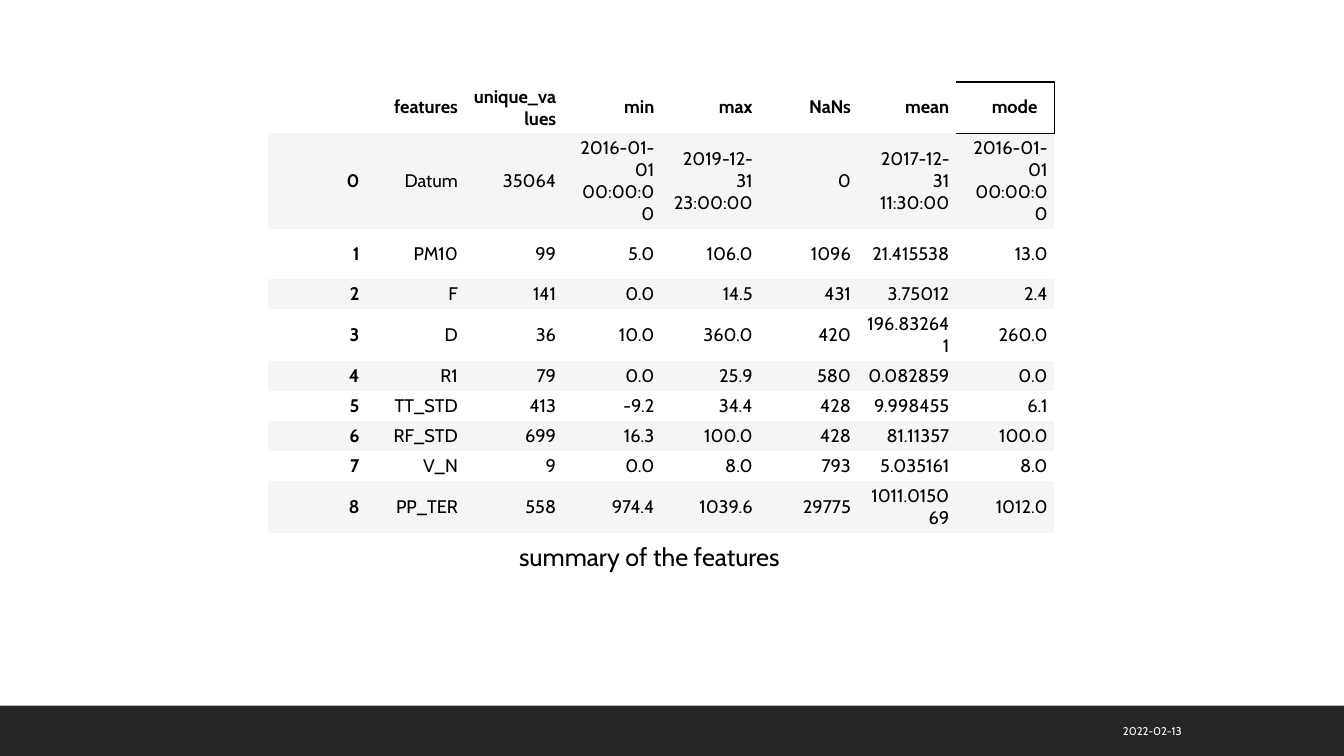
import dataclasses

import lxml.etree
import pptx
import pptx.dml.color
import pptx.enum.shapes
import pptx.enum.text
import pptx.oxml.ns
import pptx.util

Inches = pptx.util.Inches
Pt = pptx.util.Pt
PP_ALIGN = pptx.enum.text.PP_ALIGN
MIDDLE = pptx.enum.text.MSO_ANCHOR.MIDDLE
qn = pptx.oxml.ns.qn


@dataclasses.dataclass(frozen=True)
class Theme:
    font: str = "Cabin"
    ink: str = "000000"
    paper: str = "FFFFFF"
    footer: str = "262626"
    band: str = "F5F5F5"
    date_size: float = 8
    table_size: float = 13
    caption_size: float = 18


THEME = Theme()
NO_STYLE_NO_GRID = "{2D5ABB26-0587-4C30-8999-92F81FD0307C}"
COLUMN_WIDTH = 0.975
ROW_HEIGHTS = [0.5, 0.71, 0.5, 0.28, 0.5, 0.28, 0.28, 0.28, 0.28, 0.5]
FEATURES = [
    ["", "features", "unique_values", "min", "max", "NaNs", "mean", "mode"],
    ["0", "Datum", "35064", "2016-01-01 00:00:00", "2019-12-31 23:00:00", "0",
     "2017-12-31 11:30:00", "2016-01-01 00:00:00"],
    ["1", "PM10", "99", "5.0", "106.0", "1096", "21.415538", "13.0"],
    ["2", "F", "141", "0.0", "14.5", "431", "3.75012", "2.4"],
    ["3", "D", "36", "10.0", "360.0", "420", "196.832641", "260.0"],
    ["4", "R1", "79", "0.0", "25.9", "580", "0.082859", "0.0"],
    ["5", "TT_STD", "413", "-9.2", "34.4", "428", "9.998455", "6.1"],
    ["6", "RF_STD", "699", "16.3", "100.0", "428", "81.11357", "100.0"],
    ["7", "V_N", "9", "0.0", "8.0", "793", "5.035161", "8.0"],
    ["8", "PP_TER", "558", "974.4", "1039.6", "29775", "1011.015069", "1012.0"],
]


def rgb(value):
    return pptx.dml.color.RGBColor.from_string(value)


def add_run(paragraph, text, size, color, bold=False):
    run = paragraph.add_run()
    run.text = text
    run.font.name = THEME.font
    run.font.size = Pt(size)
    run.font.bold = bold
    run.font.color.rgb = rgb(color)


def add_footer_bar(slide):
    bar = slide.shapes.add_shape(
        pptx.enum.shapes.MSO_SHAPE.RECTANGLE,
        Inches(0), Inches(7), Inches(13.33), Inches(0.5))
    bar.shadow.inherit = False
    bar.fill.solid()
    bar.fill.fore_color.rgb = rgb(THEME.footer)
    bar.line.fill.background()


def add_label(slide, box, text, size, color, align=PP_ALIGN.LEFT, anchor=None):
    frame = slide.shapes.add_textbox(*map(Inches, box)).text_frame
    frame.word_wrap = True
    frame.vertical_anchor = anchor
    frame.paragraphs[0].alignment = align
    add_run(frame.paragraphs[0], text, size, color)


def set_borders(cell, widths):
    """Draw cell edges; widths maps a tag such as lnT to points, in schema order."""
    properties = cell._tc.get_or_add_tcPr()
    for position, (edge, points) in enumerate(widths.items()):
        line = lxml.etree.Element(qn(f"a:{edge}"), w=str(Pt(points)))
        fill = lxml.etree.SubElement(line, qn("a:solidFill"))
        lxml.etree.SubElement(fill, qn("a:srgbClr"), val=THEME.ink)
        properties.insert(position, line)


def fill_cell(cell, text, bold, banded):
    cell.margin_left = cell.margin_right = Inches(0.07)
    cell.margin_top = cell.margin_bottom = Inches(0.04)
    cell.vertical_anchor = MIDDLE
    if banded:
        cell.fill.solid()
        cell.fill.fore_color.rgb = rgb(THEME.band)
    else:
        cell.fill.background()
    paragraph = cell.text_frame.paragraphs[0]
    paragraph.alignment = PP_ALIGN.RIGHT
    if text:
        add_run(paragraph, text, THEME.table_size, THEME.ink, bold)


def add_feature_table(slide):
    columns = len(FEATURES[0])
    frame = slide.shapes.add_table(
        len(FEATURES), columns, Inches(2.66), Inches(0.81),
        Inches(COLUMN_WIDTH * columns), Inches(sum(ROW_HEIGHTS)))
    table = frame.table
    table.horz_banding = False
    frame.element.find(".//" + qn("a:tableStyleId")).text = NO_STYLE_NO_GRID
    for column in table.columns:
        column.width = Inches(COLUMN_WIDTH)
    for r, (height, values) in enumerate(zip(ROW_HEIGHTS, FEATURES)):
        table.rows[r].height = Inches(height)
        for c, text in enumerate(values):
            fill_cell(table.cell(r, c), text, r == 0 or c == 0, r % 2 == 1)
    mode_header = table.cell(0, columns - 1)
    mode_header.margin_right = Inches(0.17)
    set_borders(mode_header, {"lnR": 1, "lnT": 1.5, "lnB": 1})


def main():
    deck = pptx.Presentation()
    deck.slide_width, deck.slide_height = Inches(13.33), Inches(7.5)
    slide = deck.slides.add_slide(deck.slide_layouts[6])
    slide.background.fill.solid()
    slide.background.fill.fore_color.rgb = rgb(THEME.paper)
    add_footer_bar(slide)
    add_label(slide, (8.99, 7.05, 2.83, 0.4), "2022-02-13",
              THEME.date_size, THEME.paper, PP_ALIGN.RIGHT, MIDDLE)
    add_feature_table(slide)
    add_label(slide, (5.05, 5.32, 2.87, 0.4), "summary of the features",
              THEME.caption_size, THEME.ink)
    deck.save("out.pptx")


if __name__ == "__main__":
    main()
